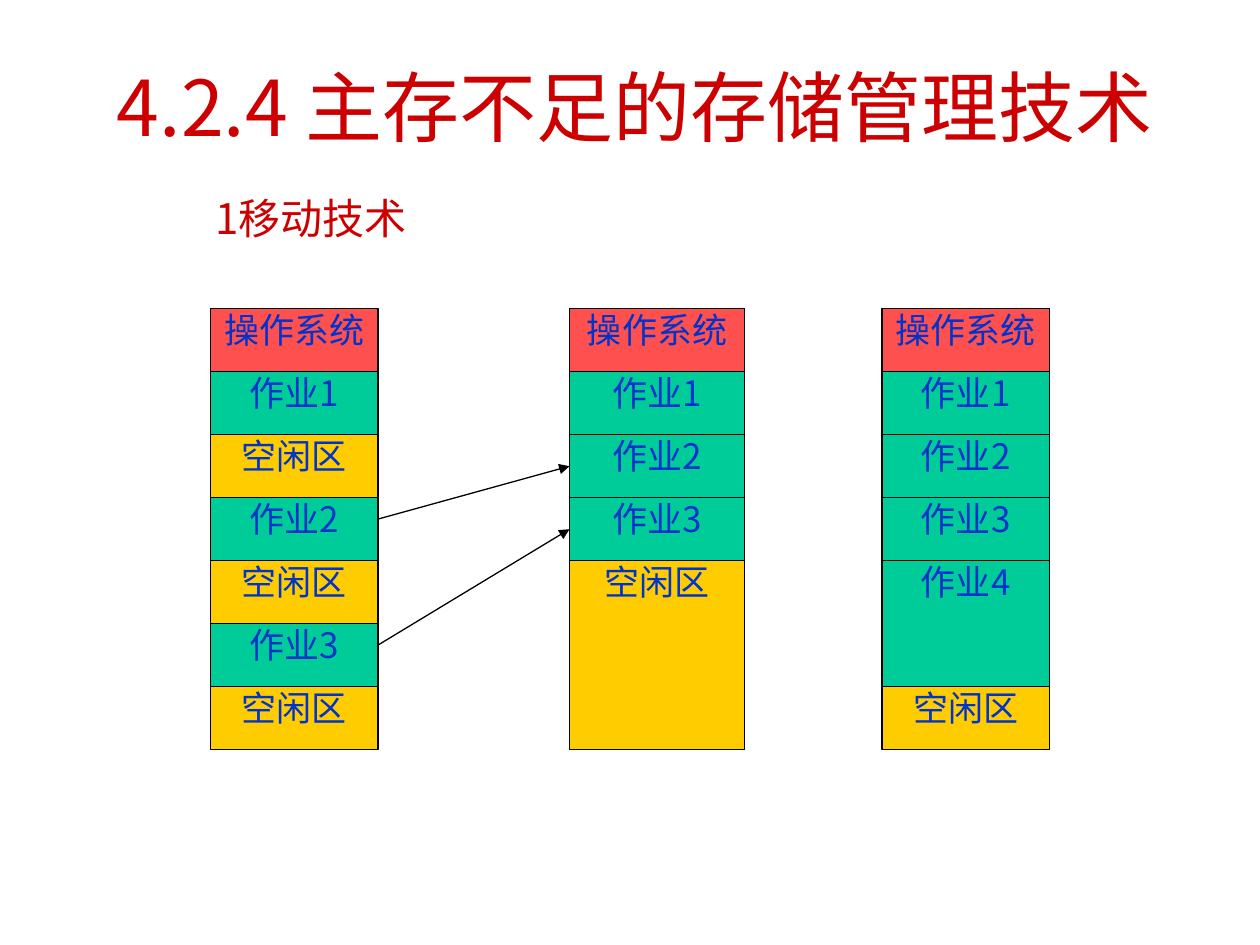
from dataclasses import dataclass

from lxml import etree
from pptx import Presentation
from pptx.dml.color import RGBColor
from pptx.enum import shapes, text
from pptx.oxml.ns import qn
from pptx.util import Inches, Pt


@dataclass(frozen=True)
class Theme:
    font: str = "Noto Sans CJK JP"
    heading: str = "CC0000"
    label: str = "0033CC"
    outline: str = "000000"
    system: str = "FF5050"
    job: str = "00CC99"
    free: str = "FFCC00"
    title_size: float = 44
    subtitle_size: float = 24
    label_size: float = 20
    line_width: float = 0.75


@dataclass(frozen=True)
class Block:
    label: str
    fill: str
    units: int = 1


@dataclass(frozen=True)
class MemoryColumn:
    left: float
    width: float
    blocks: tuple[Block, ...]


@dataclass(frozen=True)
class Move:
    start_y: float
    end_y: float


THEME = Theme()
MEMORY_TOP = 2.45
UNIT_HEIGHT = 0.5

SYSTEM = Block("操作系统", THEME.system)
FREE = Block("空闲区", THEME.free)
JOB1, JOB2, JOB3 = (Block(f"作业{number}", THEME.job) for number in (1, 2, 3))

COLUMNS = (
    MemoryColumn(1.67, 1.33, (SYSTEM, JOB1, FREE, JOB2, FREE, JOB3, FREE)),
    MemoryColumn(4.52, 1.39, (SYSTEM, JOB1, JOB2, JOB3, Block("空闲区", THEME.free, 3))),
    MemoryColumn(7, 1.33, (SYSTEM, JOB1, JOB2, JOB3, Block("作业4", THEME.job, 2), FREE)),
)
MOVES = (Move(4.12, 3.7), Move(5.12, 4.2))


def write_text(shape, content: str, size: float, color: str, alignment) -> None:
    paragraph = shape.text_frame.paragraphs[0]
    paragraph.text = content
    paragraph.alignment = alignment
    font = paragraph.font
    font.size = Pt(size)
    font.color.rgb = RGBColor.from_string(color)
    font.name = THEME.font
    properties = paragraph._p.pPr.find(qn("a:defRPr"))
    etree.SubElement(properties, qn("a:ea"), typeface=THEME.font)


def add_heading(slide, left: float, top: float, width: float, height: float,
                content: str, size: float, alignment, anchor) -> None:
    box = slide.shapes.add_textbox(Inches(left), Inches(top), Inches(width), Inches(height))
    box.text_frame.word_wrap = True
    box.text_frame.vertical_anchor = anchor
    write_text(box, content, size, THEME.heading, alignment)


def add_block(slide, block: Block, left: float, top: float, width: float) -> None:
    shape = slide.shapes.add_shape(
        shapes.MSO_SHAPE.RECTANGLE, Inches(left), Inches(top),
        Inches(width), Inches(block.units * UNIT_HEIGHT))
    shape.shadow.inherit = False
    shape.fill.solid()
    shape.fill.fore_color.rgb = RGBColor.from_string(block.fill)
    shape.line.color.rgb = RGBColor.from_string(THEME.outline)
    shape.line.width = Pt(THEME.line_width)
    frame = shape.text_frame
    frame.margin_left = frame.margin_right = frame.margin_top = frame.margin_bottom = 0
    frame.vertical_anchor = text.MSO_ANCHOR.TOP
    write_text(shape, block.label, THEME.label_size, THEME.label, text.PP_ALIGN.CENTER)


def add_column(slide, column: MemoryColumn) -> None:
    top = MEMORY_TOP
    for block in column.blocks:
        add_block(slide, block, column.left, top, column.width)
        top += block.units * UNIT_HEIGHT


def add_move(slide, move: Move, source: MemoryColumn, target: MemoryColumn) -> None:
    arrow = slide.shapes.add_connector(
        shapes.MSO_CONNECTOR.STRAIGHT,
        Inches(source.left + source.width), Inches(move.start_y),
        Inches(target.left), Inches(move.end_y))
    arrow.line.color.rgb = RGBColor.from_string(THEME.outline)
    arrow.line.width = Pt(THEME.line_width)
    etree.SubElement(arrow.line._get_or_add_ln(), qn("a:tailEnd"), type="triangle")
    etree.SubElement(arrow._element.spPr, qn("a:effectLst"))


def main() -> None:
    presentation = Presentation()
    presentation.slide_width = Inches(10)
    presentation.slide_height = Inches(7.5)
    slide = presentation.slides.add_slide(presentation.slide_layouts[6])

    # Headings
    add_heading(slide, 0.51, 0.21, 9.06, 1.25, "4.2.4 主存不足的存储管理技术",
                THEME.title_size, text.PP_ALIGN.CENTER, text.MSO_ANCHOR.MIDDLE)
    add_heading(slide, 1.61, 1.48, 2.13, 0.9, "1移动技术",
                THEME.subtitle_size, text.PP_ALIGN.LEFT, text.MSO_ANCHOR.TOP)

    # Memory before moving, after moving, and with the new job loaded
    for column in COLUMNS:
        add_column(slide, column)

    # Jobs moved together
    for move in MOVES:
        add_move(slide, move, COLUMNS[0], COLUMNS[1])

    presentation.save("out.pptx")


if __name__ == "__main__":
    main()
